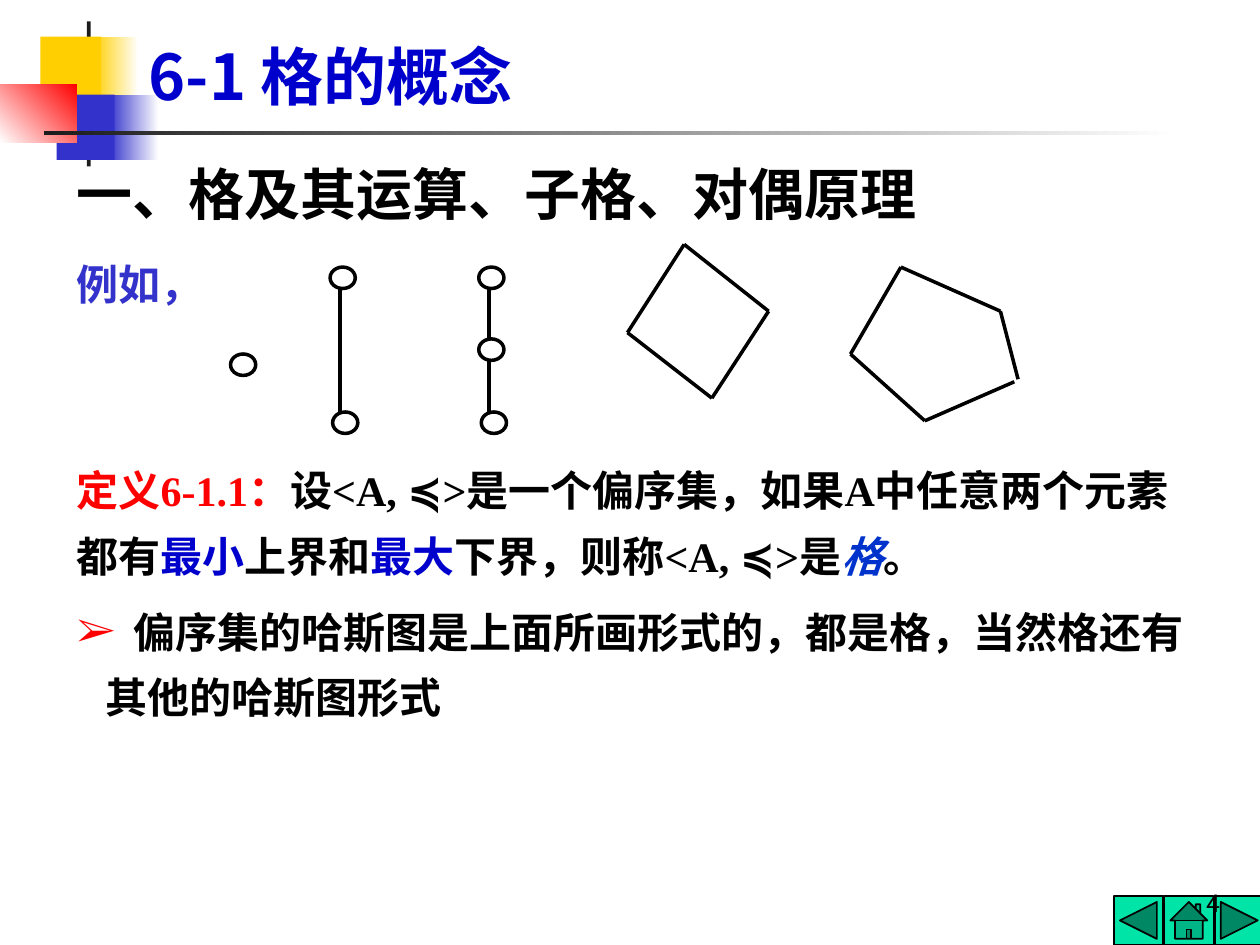
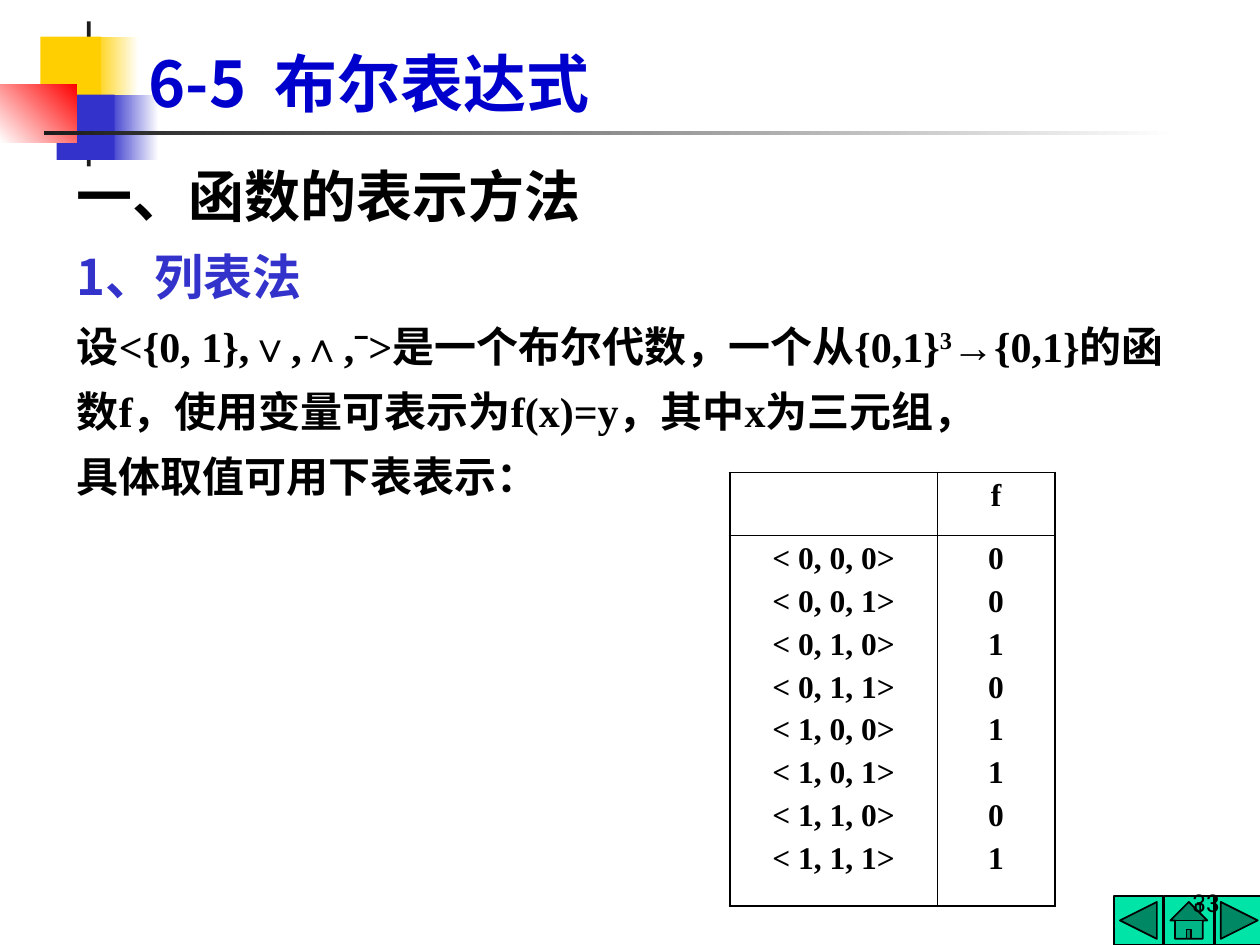
from dataclasses import dataclass
from itertools import pairwise

from lxml.etree import SubElement
from pptx import Presentation
from pptx.dml.color import RGBColor
from pptx.enum.lang import MSO_LANGUAGE_ID as Lang
from pptx.enum.shapes import MSO_CONNECTOR as Conn, MSO_SHAPE as Shape
from pptx.enum.text import MSO_ANCHOR as Anchor, PP_ALIGN as Align
from pptx.oxml.ns import qn
from pptx.util import Inches, Pt


@dataclass(frozen=True)
class Theme:
    """Colours, fonts and type sizes shared by the slides."""
    black: str = "000000"
    white: str = "FFFFFF"
    ink: str = "1C1C1C"
    yellow: str = "FFCF01"
    indigo: str = "3333CC"
    red: str = "FF0000"
    blue: str = "0000CC"
    term: str = "0033CC"
    button: str = "00E4A8"
    sans: str = "Noto Sans CJK SC"
    serif: str = "Times New Roman"
    mono: str = "Noto Sans Mono"
    digits: str = "Roboto"
    title: int = 36
    heading: int = 32
    subheading: int = 28
    body: int = 24
    cell: int = 18
    number: int = 14
    leading: float = 1.3


T = Theme()
BODY_X, BODY_W = 0.51, 9.05


def rgb(color):
    """Return the colour object of a hex string."""
    return RGBColor.from_string(color)


def add_run(p, text, size=T.body, color=T.black, font=T.serif, bold=True,
            italic=False, raised=0, spacing=0):
    """Append one formatted run to a paragraph."""
    r = p.add_run()
    r.text = text
    f = r.font
    f.size, f.name, f.bold, f.italic = Pt(size), font, bold, italic
    f.color.rgb = rgb(color)
    f.language_id = Lang.SIMPLIFIED_CHINESE
    if raised:
        f._element.set("baseline", str(raised * 1000))
    if spacing:
        f._element.set("spc", str(spacing * 100))


def set_bullet(p, char=None, color=T.red, indent=0.0):
    """Give a paragraph a coloured bullet, or none."""
    pPr = p._p.get_or_add_pPr()
    pPr.set("marL", str(Inches(indent)))
    pPr.set("indent", str(-Inches(indent)))
    if char is None:
        SubElement(pPr, qn("a:buNone"))
        return
    SubElement(SubElement(pPr, qn("a:buClr")), qn("a:srgbClr"), val=color)
    SubElement(pPr, qn("a:buFont"), typeface=T.serif)
    SubElement(pPr, qn("a:buChar"), char=char)


def fill_text(sp, box, paragraphs, bullet=None, indent=0.0):
    """Place a text shape and write its paragraphs of (text, format) runs."""
    sp.left, sp.top, sp.width, sp.height = map(Inches, box)
    tf = sp.text_frame
    tf.word_wrap = True
    for i, runs in enumerate(paragraphs):
        p = tf.add_paragraph() if i else tf.paragraphs[0]
        p.line_spacing = T.leading
        p.space_before = Pt(0)
        set_bullet(p, bullet, indent=indent)
        for text, style in runs:
            add_run(p, text, **style)


def add_text(s, box, paragraphs):
    """Add a text box with the given paragraphs."""
    fill_text(s.shapes.add_textbox(0, 0, 0, 0), box, paragraphs)


def add_shape(s, kind, box, color, line=None, width=1):
    """Add a flat preset shape."""
    sp = s.shapes.add_shape(kind, *map(Inches, box))
    sp.shadow.inherit = False
    sp.fill.solid()
    sp.fill.fore_color.rgb = rgb(color)
    if line:
        sp.line.color.rgb = rgb(line)
        sp.line.width = Pt(width)
    else:
        sp.line.fill.background()
    return sp


def add_fade(s, box, start, end, angle=180):
    """Add a rectangle with a two-colour gradient."""
    fill = add_shape(s, Shape.RECTANGLE, box, start).fill
    fill.gradient()
    fill.gradient_angle = angle
    for stop, color in zip(fill.gradient_stops, (start, end)):
        stop.color.rgb = rgb(color)


def add_emblem(s, x, y):
    """Draw the coloured squares and the rule beside the title."""
    add_fade(s, (x + 0.74, y + 0.12, 0.36, 0.52), T.white, T.yellow)
    add_fade(s, (x + 0.86, y + 0.58, 0.4, 0.52), T.white, T.indigo)
    for dx, dy, w, h, color in ((0.69, 0, 0.03, 1.15, T.ink),
                                (0.32, 0.12, 0.48, 0.52, T.yellow),
                                (0.45, 0.58, 0.46, 0.52, T.indigo)):
        add_shape(s, Shape.RECTANGLE, (x + dx, y + dy, w, h), color)
    add_fade(s, (x, y + 0.5, 0.61, 0.46), T.red, T.white, 225)
    add_fade(s, (x + 0.35, y + 0.87, 9, 0.03), T.white, T.ink)


def add_navigation(s, x, y, size=0.39, pitch=0.4):
    """Draw the row of back, home and forward buttons."""
    for i, kind in enumerate((Shape.ACTION_BUTTON_BACK_OR_PREVIOUS,
                              Shape.ACTION_BUTTON_HOME,
                              Shape.ACTION_BUTTON_FORWARD_OR_NEXT)):
        add_shape(s, kind, (x + i * pitch, y, size, size), T.button, T.black)


def add_page_number(s, number, box):
    """Write the page number at the lower right."""
    sp = s.shapes.add_textbox(*map(Inches, box))
    tf = sp.text_frame
    tf.word_wrap = True
    tf.vertical_anchor = Anchor.BOTTOM
    p = tf.paragraphs[0]
    p.alignment = Align.RIGHT
    add_run(p, str(number), T.number, font=T.digits, bold=False)


def start_slide(prs, section, name, number, title_y, gap=0):
    """Add a slide with the shared frame, title and page number."""
    s = prs.slides.add_slide(prs.slide_layouts[1])
    add_emblem(s, 0, 0.17)
    add_navigation(s, 8.84, 7.11)
    title = s.shapes.title
    title.left, title.top, title.width, title.height = map(
        Inches, (1.08, title_y, 7.91, 0.7))
    tf = title.text_frame
    tf.vertical_anchor = Anchor.BOTTOM
    p = tf.paragraphs[0]
    p.alignment = Align.LEFT
    for text, spacing in ((section, 0), (" ", gap), (name, 0)):
        add_run(p, text, T.title, T.blue, T.sans, spacing=spacing)
    s.shapes._spTree.append(title._element)
    add_page_number(s, number, (7.7, 6.83, 2.08, 0.5))
    return s


def add_edges(s, x, y, points):
    """Join successive points with straight lines."""
    for (x1, y1), (x2, y2) in pairwise(points):
        c = s.shapes.add_connector(Conn.STRAIGHT, Inches(x + x1), Inches(y + y1),
                                   Inches(x + x2), Inches(y + y2))
        c.line.color.rgb = rgb(T.black)
        c.line.width = Pt(2)
        SubElement(c._element.spPr, qn("a:effectLst"))


def add_hasse_diagrams(s, x, y):
    """Draw five Hasse diagrams: a point, two chains, a diamond, a pentagon."""
    chains = (0.79, 1.97)
    nodes = [(0, 0.87), (chains[1], 0.75)]
    for cx in chains:
        add_edges(s, x, y, [(cx + 0.08, 0.35), (cx + 0.08, 1.4)])
        nodes += [(cx, 0.18), (cx + 0.02, 1.33)]
    for dx, dy in nodes:
        add_shape(s, Shape.OVAL, (x + dx, y + dy, 0.2, 0.17),
                  T.white, T.black, 2)
    diamond = [(3.6, 0), (3.15, 0.7), (3.82, 1.22), (4.27, 0.53)]
    add_edges(s, x, y, diamond + diamond[:1])
    add_edges(s, x, y, [(6.22, 1.09), (5.51, 1.4), (4.92, 0.87),
                        (5.32, 0.18), (6.11, 0.53), (6.25, 1.07)])


def set_borders(cell, **widths):
    """Set the border widths of a cell by side name."""
    tcPr = cell._tc.get_or_add_tcPr()
    for i, side in enumerate(("L", "R", "T", "B")):
        ln = SubElement(tcPr, qn(f"a:ln{side}"), w=str(Pt(widths[side])))
        SubElement(SubElement(ln, qn("a:solidFill")), qn("a:srgbClr"), val=T.black)
        tcPr.insert(i, ln)


def add_truth_table(s, x, y, values):
    """Add the table that lists f for every triple of bits."""
    triples = [f"< {n >> 2}, {n >> 1 & 1}, {n & 1}>" for n in range(len(values))]
    rows = [([], ["f"]), (triples, values)]
    widths, heights = (1.65, 0.93), (0.5, 2.94)
    outer, inner = 1.25, 0.45
    table = s.shapes.add_table(2, 2, Inches(x), Inches(y), Inches(sum(widths)),
                               Inches(sum(heights))).table
    table.first_row = table.horz_banding = False
    for i in range(2):
        table.columns[i].width = Inches(widths[i])
        table.rows[i].height = Inches(heights[i])
    for i, row in enumerate(rows):
        for j, lines in enumerate(row):
            cell = table.cell(i, j)
            cell.fill.background()
            set_borders(cell, L=inner if j else outer, R=outer if j else inner,
                        T=inner if i else outer, B=outer if i else inner)
            for n, line in enumerate(lines):
                tf = cell.text_frame
                p = tf.add_paragraph() if n else tf.paragraphs[0]
                p.alignment = Align.CENTER
                p.space_before = Pt(4.5 if n else 0)
                add_run(p, line, T.cell)


def build_lattice_slide(prs):
    """Build the slide that defines a lattice."""
    s = start_slide(prs, "6-1", "格的概念", 4, 0.25)
    add_text(s, (BODY_X, 1.88, 9.33, 0.62), [[("例如，", {"color": T.indigo})]])
    add_hasse_diagrams(s, 1.83, 1.94)
    add_text(s, (BODY_X, 1.06, BODY_W, 0.79),
             [[("一、格及其运算、子格、对偶原理", {"size": T.heading})]])
    blue, order = {"color": T.blue}, ("≼", {"font": T.mono})
    add_text(s, (BODY_X, 3.52, 9.45, 1.14), [
        [("定义6-1.1：", {"color": T.red}), ("设<A, ", {}), order,
         (">是一个偏序集，如果A中任意两个元素", {})],
        [("都有", {}), ("最小", blue), ("上界和", {}), ("最大", blue),
         ("下界，则称<A, ", {}), order, (">是", {}),
         ("格", {"color": T.term, "italic": True}), ("。", {})],
    ])
    fill_text(s.placeholders[1], (BODY_X, 4.64, BODY_W, 1.14), [
        [(" ", {"spacing": 5}),
         ("偏序集的哈斯图是上面所画形式的，都是格，当然格还有其他的哈斯图形式", {})],
    ], bullet="➢", indent=0.23)


def build_boolean_slide(prs):
    """Build the slide that tabulates a Boolean function."""
    s = start_slide(prs, "6-5", "布尔表达式", 33, 0.3, gap=8)
    fill_text(s.placeholders[1], (BODY_X, 1.07, BODY_W, 2.96), [
        [("一、函数的表示方法", {"size": T.heading, "font": T.sans})],
        [("1、列表法", {"size": T.subheading, "font": T.sans, "color": T.indigo})],
        [("设<{0, 1},∨,∧,ˉ>是一个布尔代数，一个从{0,1}", {}),
         ("3", {"raised": 30}),
         ("→{0,1}的函数f，使用变量可表示为f(x)=y，其中x为三元组，", {})],
        [("具体取值可用下表表示：", {})],
    ])
    add_truth_table(s, 5.79, 3.75, list("00101101"))


def main():
    """Build and save the presentation."""
    prs = Presentation()
    prs.slide_width, prs.slide_height = Inches(10), Inches(7.5)
    build_lattice_slide(prs)
    build_boolean_slide(prs)
    prs.save("out.pptx")


if __name__ == "__main__":
    main()
